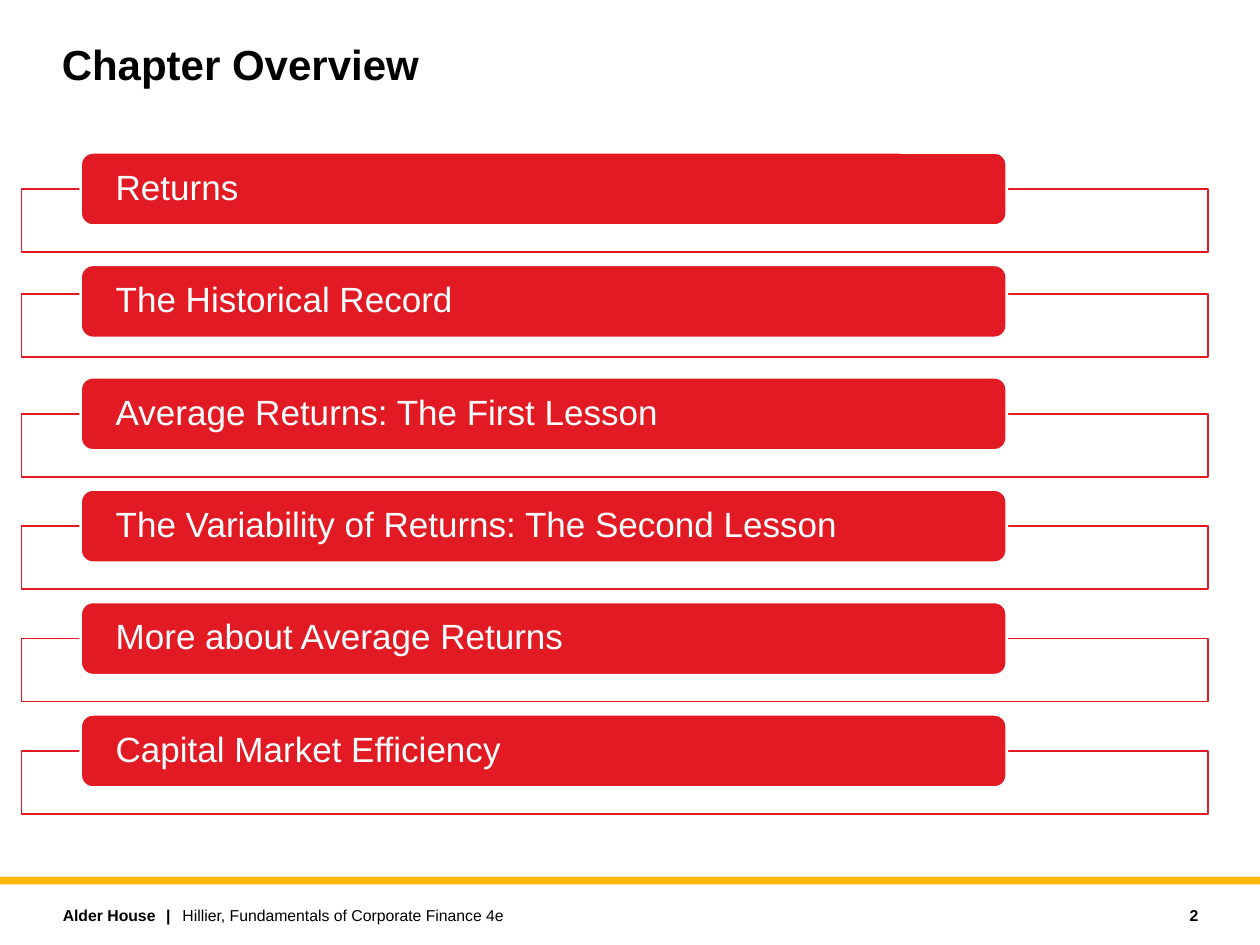
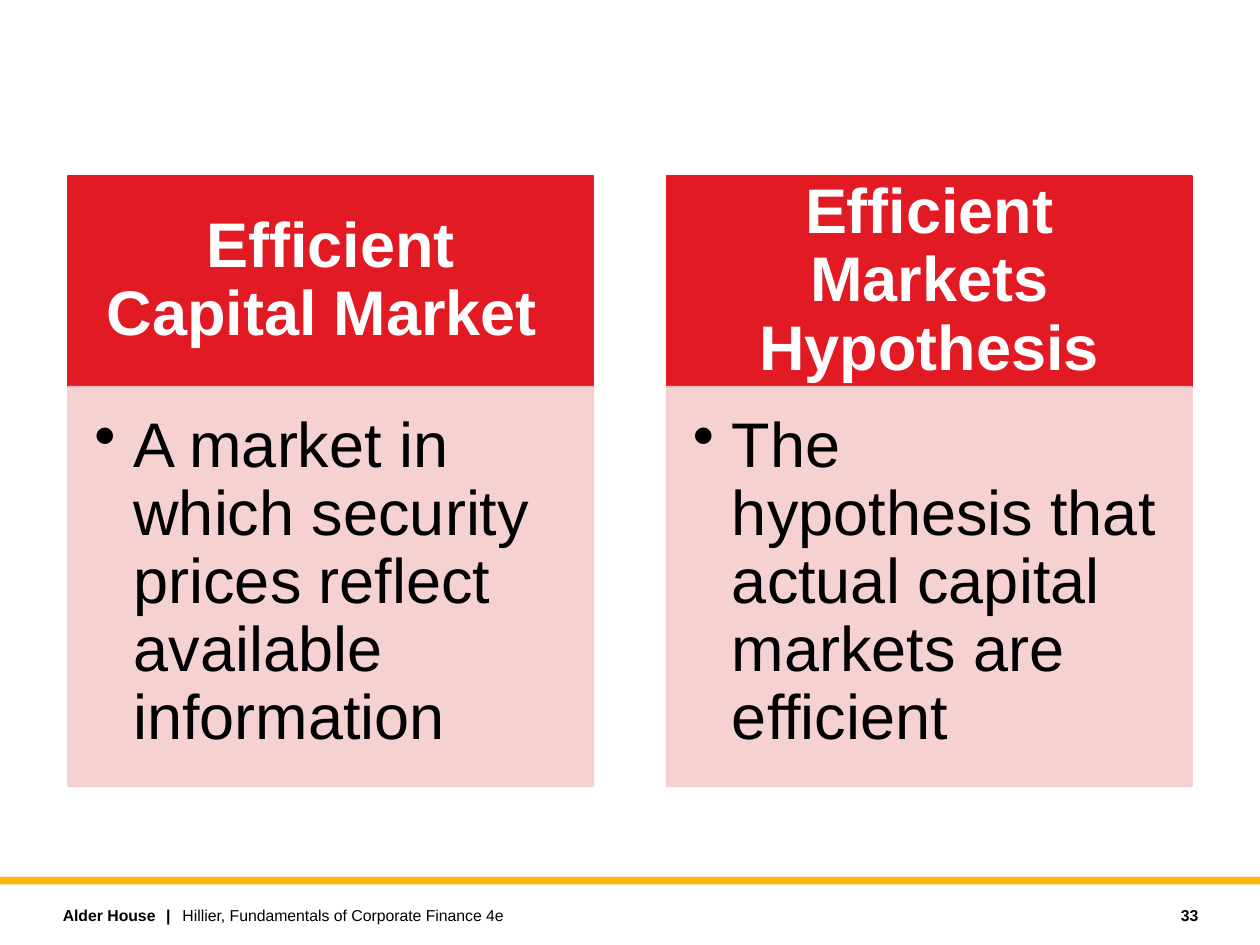
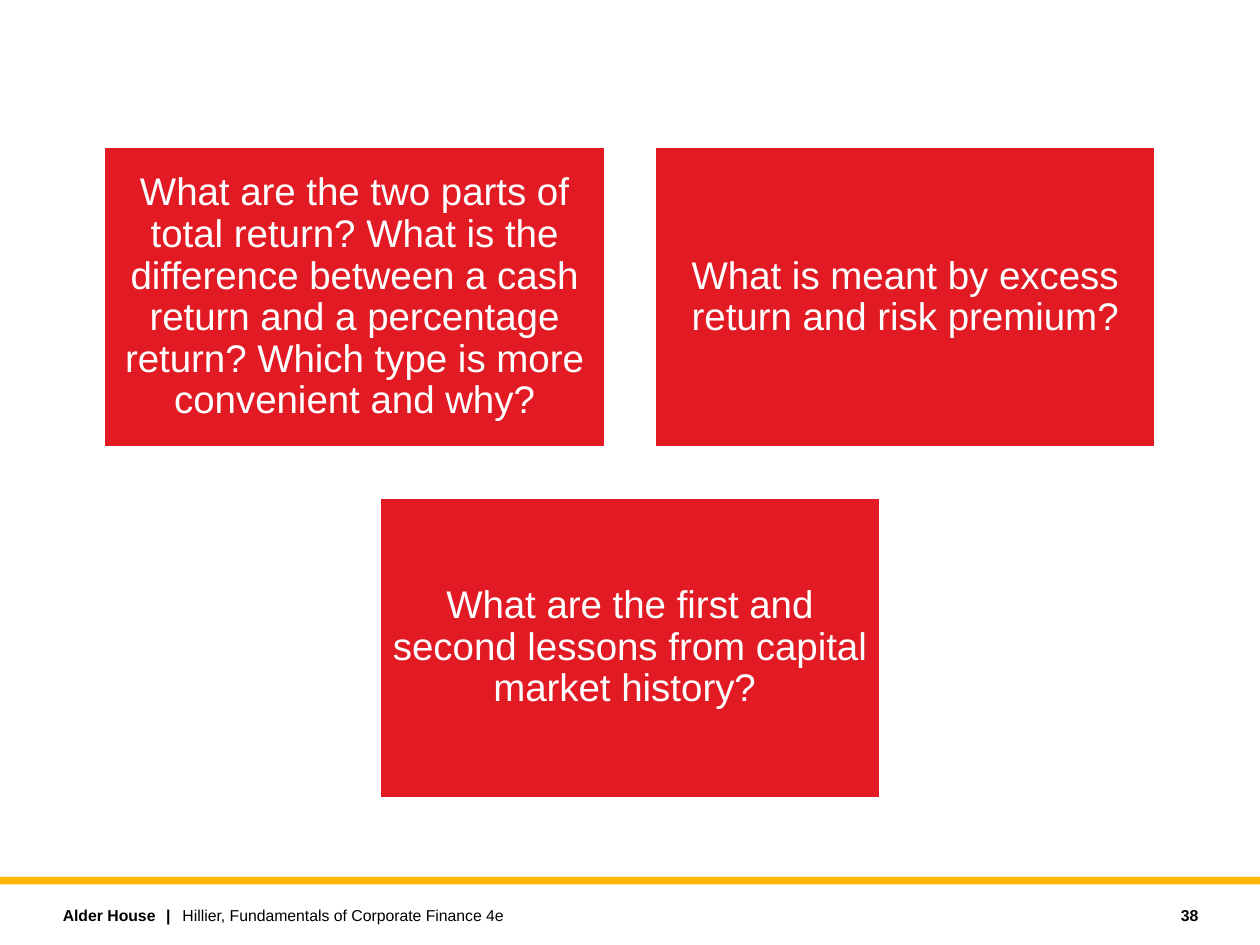
from dataclasses import dataclass

from lxml.etree import SubElement
from pptx import Presentation
from pptx.dml.color import RGBColor
from pptx.enum.shapes import MSO_SHAPE
from pptx.enum.text import MSO_ANCHOR, PP_ALIGN
from pptx.oxml.ns import qn
from pptx.util import Inches, Pt


@dataclass(frozen=True)
class Theme:
    font: str = "Arial"
    # Colours
    red: str = "E21A23"
    pink: str = "F4CDCD"
    gold: str = "FFB600"
    white: str = "FFFFFF"
    black: str = "000000"
    # Type sizes
    title: int = 24
    topic: int = 20
    column: int = 36
    question: int = 22
    footer: int = 9


PUBLISHER = "Alder House"
BOOK = "Hillier, Fundamentals of Corporate Finance 4e"

TITLE_ONLY, BLANK = 5, 6

# Each topic and how far its frame starts below the top of its bar
TOPICS = [
    ("Returns", 0.29),
    ("The Historical Record", 0.23),
    ("Average Returns: The First Lesson", 0.29),
    ("The Variability of Returns: The Second Lesson", 0.29),
    ("More about Average Returns", 0.29),
    ("Capital Market Efficiency", 0.29),
]

DEFINITIONS = [
    ("Efficient Capital Market ",
     "A market in which security prices reflect available information"),
    ("Efficient Markets Hypothesis",
     "The hypothesis that actual capital markets are efficient"),
]

QUESTIONS = [
    "What are the two parts of total return? What is the difference between "
    "a cash return and a percentage return? Which type is more convenient and why?",
    "What is meant by excess return and risk premium?",
    "What are the first and second lessons from capital market history? ",
]


def write(tf, text, size, color, bold=False, align=PP_ALIGN.LEFT,
          anchor=MSO_ANCHOR.MIDDLE, insets=(0.1, 0.05, 0.1, 0.05),
          spacing=0.9, bullet_indent=None, tab=None):
    """Fill a text frame with one formatted paragraph."""
    tf.word_wrap = True
    tf.vertical_anchor = anchor
    (tf.margin_left, tf.margin_top,
     tf.margin_right, tf.margin_bottom) = map(Inches, insets)
    p = tf.paragraphs[0]
    pPr = p._p.get_or_add_pPr()
    if bullet_indent:
        pPr.set("marL", str(Inches(bullet_indent)))
        pPr.set("indent", str(-Inches(bullet_indent)))
        SubElement(pPr, qn("a:buChar"), char="•")
    if tab:
        tabs = SubElement(pPr, qn("a:tabLst"))
        SubElement(tabs, qn("a:tab"), pos=str(Inches(tab)), algn="l")
    p.alignment = align
    p.line_spacing = spacing
    r = p.add_run()
    r.text = text
    r.font.name = Theme.font
    r.font.size = Pt(size)
    r.font.bold = bold
    r.font.color.rgb = RGBColor.from_string(color)


class Deck:
    def __init__(self, theme):
        self.theme = theme
        self.prs = Presentation()
        self.prs.slide_width, self.prs.slide_height = Inches(10), Inches(7.5)
        self.s = None

    def slide(self, number, layout=BLANK):
        """Start a slide with the gold band and the footer."""
        t = self.theme
        self.s = self.prs.slides.add_slide(self.prs.slide_layouts[layout])
        self.box(0, 6.96, 10, 0.06, t.gold)
        self.footer(0.4, 1.7, f"{PUBLISHER}\t|", bold=True, tab=0.82,
                    anchor=MSO_ANCHOR.TOP)
        self.footer(1.35, 6, BOOK)
        self.footer(8.56, 1.05, str(number), bold=True, align=PP_ALIGN.RIGHT)

    def footer(self, x, w, text, **fmt):
        sp = self.s.shapes.add_textbox(*map(Inches, (x, 7.14, w, 0.25)))
        write(sp.text_frame, text, self.theme.footer, self.theme.black,
              spacing=1.0, **fmt)

    def title(self, text):
        sp = self.s.shapes.title
        sp.left, sp.top, sp.width, sp.height = map(Inches, (0.39, 0.3, 7.63, 0.9))
        write(sp.text_frame, text, self.theme.title, self.theme.black,
              bold=True, anchor=MSO_ANCHOR.TOP)

    def box(self, x, y, w, h, fill, line=None, weight=1, alpha=None,
            kind=MSO_SHAPE.RECTANGLE):
        """Add a filled shape; alpha (percent) also applies to a line of the fill colour."""
        sp = self.s.shapes.add_shape(kind, *map(Inches, (x, y, w, h)))
        sp.shadow.inherit = False
        sp.fill.solid()
        sp.fill.fore_color.rgb = RGBColor.from_string(fill)
        if line:
            sp.line.color.rgb = RGBColor.from_string(line)
            sp.line.width = Pt(weight)
        else:
            sp.line.fill.background()
        if alpha:
            for clr in sp._element.spPr.iter(qn("a:srgbClr")):
                if clr.get("val") == fill:
                    SubElement(clr, qn("a:alpha"), val=str(alpha * 1000))
        return sp

    def topic(self, y, text, frame_drop):
        """A rounded bar lying over an outlined frame."""
        t = self.theme
        self.box(0.17, y + frame_drop, 9.42, 0.5, t.white, t.red, alpha=90)
        bar = self.box(0.64, y, 7.35, 0.58, t.red, t.white, 1.5,
                       kind=MSO_SHAPE.ROUNDED_RECTANGLE)
        write(bar.text_frame, text, t.topic, t.white, insets=(0.25, 0, 0.25, 0))

    def definition(self, x, term, meaning):
        """A red heading on top of a pink bulleted panel."""
        t = self.theme
        head = self.box(x, 1.4, 4.17, 1.67, t.red, t.red)
        write(head.text_frame, term, t.column, t.white, bold=True,
              align=PP_ALIGN.CENTER, insets=(0.28, 0.16, 0.28, 0.16))
        panel = self.box(x, 3.07, 4.17, 3.17, t.pink, t.pink, alpha=90)
        write(panel.text_frame, meaning, t.column, t.black,
              anchor=MSO_ANCHOR.TOP, insets=(0.21, 0.21, 0.28, 0.32),
              bullet_indent=0.31)

    def question(self, x, y, w, h, text):
        t = self.theme
        card = self.box(x, y, w, h, t.red, t.white)
        write(card.text_frame, text, t.question, t.white,
              align=PP_ALIGN.CENTER, insets=(0.09,) * 4)


def main():
    deck = Deck(Theme())

    # Chapter overview
    deck.slide(2, TITLE_ONLY)
    deck.title("Chapter Overview")
    first, last = 1.21, 5.67
    pitch = (last - first) / (len(TOPICS) - 1)
    for i, (text, frame_drop) in enumerate(TOPICS):
        deck.topic(first + i * pitch, text, frame_drop)

    # Definitions side by side
    deck.slide(33)
    for i, (term, meaning) in enumerate(DEFINITIONS):
        deck.definition(0.54 + i * 4.75, term, meaning)

    # Review questions, two in a row, each row centred
    deck.slide(38)
    w, h, gap, per_row = 3.97, 2.38, 0.4, 2
    for start in range(0, len(QUESTIONS), per_row):
        row = QUESTIONS[start:start + per_row]
        left = (10 - len(row) * w - (len(row) - 1) * gap) / 2
        y = 1.17 + start // per_row * (h + gap)
        for i, text in enumerate(row):
            deck.question(left + i * (w + gap), y, w, h, text)

    deck.prs.save("out.pptx")


if __name__ == "__main__":
    main()
